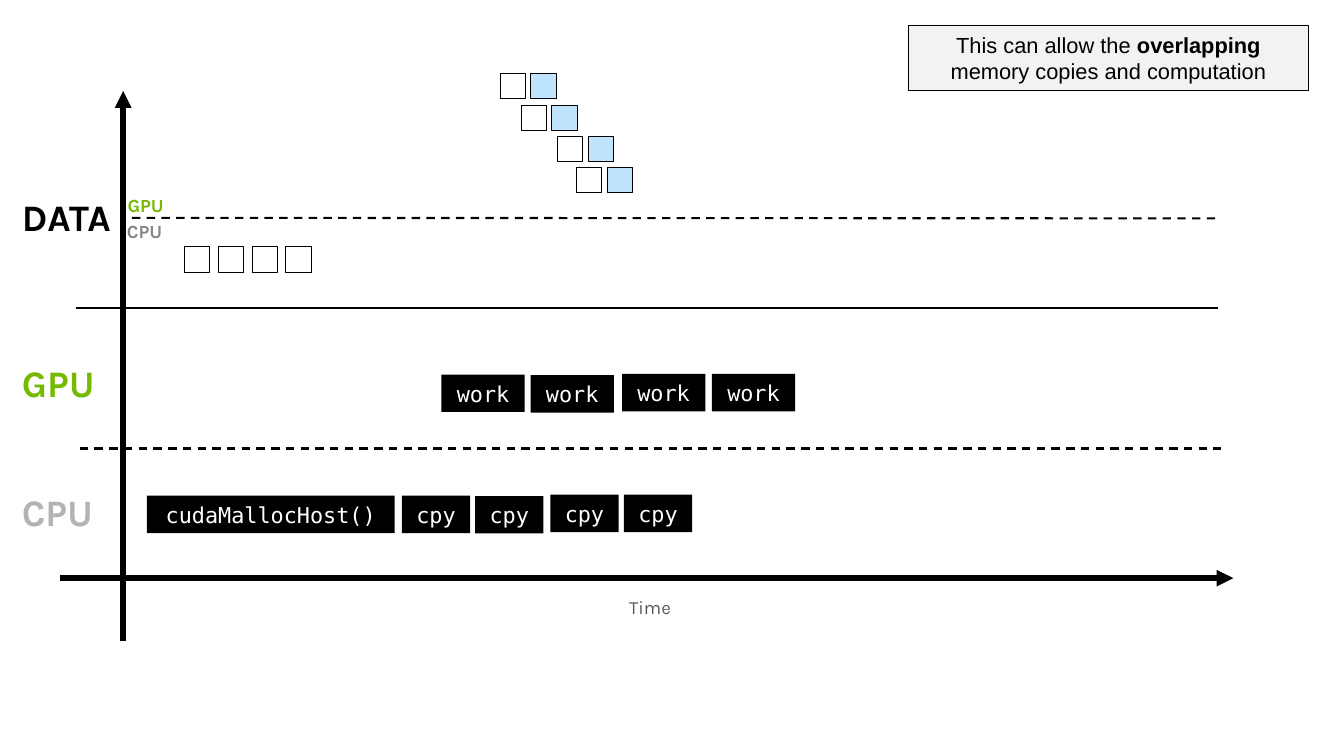
from lxml import etree
from pptx import Presentation
from pptx.dml.color import RGBColor
from pptx.enum.dml import MSO_LINE
from pptx.enum.shapes import MSO_CONNECTOR, MSO_SHAPE
from pptx.enum.text import MSO_ANCHOR, PP_ALIGN
from pptx.oxml.ns import qn
from pptx.util import Pt

COLORS = {"black": "000000", "white": "FFFFFF", "green": "76B900", "light gray": "B3B3B3",
          "mid gray": "868686", "time gray": "595959", "blue": "C0E3FE", "callout": "F2F2F2"}


def add_box(shapes, left, top, width, height, fill=None, outlined=False):
    shape = shapes.add_shape(MSO_SHAPE.RECTANGLE, Pt(left), Pt(top), Pt(width), Pt(height))
    shape.shadow.inherit = False
    if fill:
        shape.fill.solid()
        shape.fill.fore_color.rgb = RGBColor.from_string(COLORS[fill])
    else:
        shape.fill.background()
    if outlined:
        shape.line.color.rgb = RGBColor.from_string(COLORS["black"])
        shape.line.width = Pt(0.75)
    else:
        shape.line.fill.background()
    return shape


def write_text(shape, runs, font, size, color, anchor, alignment=PP_ALIGN.CENTER, spacing=1.0):
    frame = shape.text_frame
    frame.word_wrap = True
    frame.vertical_anchor = anchor
    frame.margin_left = frame.margin_right = Pt(7.6)
    frame.margin_top = frame.margin_bottom = Pt(4)
    paragraph = frame.paragraphs[0]
    paragraph.alignment = alignment
    paragraph.line_spacing = spacing
    for text, bold in runs:
        run = paragraph.add_run()
        run.text = text
        run.font.name = font
        run.font.size = Pt(size)
        run.font.bold = bold
        run.font.color.rgb = RGBColor.from_string(COLORS[color])


presentation = Presentation()
presentation.slide_width = Pt(960)
presentation.slide_height = Pt(540)
slide = presentation.slides.add_slide(presentation.slide_layouts[6])

# Axes and lane dividers: start, end, width, dashed, arrow
for x1, y1, x2, y2, width, dashed, arrow in [
    (88, 458, 88, 65, 4, False, True),
    (43, 413, 881, 413, 4, False, True),
    (57, 320.4, 872, 320.4, 1.5, True, False),
    (54, 219.8, 870, 219.8, 1.5, False, False),
    (94.3, 155.6, 870, 156, 1.5, True, False),
]:
    line = slide.shapes.add_connector(MSO_CONNECTOR.STRAIGHT, Pt(x1), Pt(y1), Pt(x2), Pt(y2))
    line.line.color.rgb = RGBColor.from_string(COLORS["black"])
    line.line.width = Pt(width)
    if dashed:
        line.line.dash_style = MSO_LINE.DASH
    if arrow:
        etree.SubElement(line.line._get_or_add_ln(), qn("a:tailEnd"), type="triangle")
    etree.SubElement(line._element.spPr, qn("a:effectLst"))

# Lane and axis labels
for text, left, top, width, height, size, color, bold, alignment in [
    ("DATA", 8, 137.5, 88, 37.4, 26.7, "black", True, PP_ALIGN.LEFT),
    ("GPU", 8, 256.3, 78, 37.4, 26.7, "green", True, PP_ALIGN.LEFT),
    ("CPU", 8, 348.5, 78, 37.4, 26.7, "light gray", True, PP_ALIGN.LEFT),
    ("GPU", 83.5, 136.6, 44, 22.3, 13.3, "green", True, PP_ALIGN.LEFT),
    ("CPU", 83, 154.8, 44, 22.3, 13.3, "mid gray", True, PP_ALIGN.LEFT),
    ("Time", 440.6, 421.2, 47.5, 24.5, 13.3, "time gray", False, PP_ALIGN.CENTER),
]:
    label = slide.shapes.add_textbox(Pt(left), Pt(top), Pt(width), Pt(height))
    write_text(label, [(text, bold)], "Karla", size, color, MSO_ANCHOR.BOTTOM, alignment, 0.9)

# Data blocks held by the CPU
SQUARE = 18.2
cpu_data = slide.shapes.add_group_shape()
for index in range(4):
    add_box(cpu_data.shapes, 131.7 + 24.2 * index, 176.2, SQUARE, SQUARE, outlined=True)

# Data blocks on the GPU: each input beside its result
gpu_data = slide.shapes.add_group_shape()
for left, top in [(357.3, 52.4), (372.3, 75.3), (398.1, 97.5), (411.7, 119.5)]:
    add_box(gpu_data.shapes, left, top, SQUARE, SQUARE, outlined=True)
    add_box(gpu_data.shapes, left + 22, top, SQUARE, SQUARE, "blue", outlined=True)

# Calls on the CPU and work on the GPU
gpu_work = slide.shapes.add_group_shape()
for shapes, text, width, places in [
    (slide.shapes, "cudaMallocHost()", 177, [(105, 354)]),
    (slide.shapes, "cpy", 48.8, [(287.1, 354), (339.4, 354.3), (393.1, 353.3), (445.7, 353.3)]),
    (gpu_work.shapes, "work", 59.5, [(315.3, 267.5), (379, 267.9), (444.3, 267), (508.5, 267)]),
]:
    for left, top in places:
        block = add_box(shapes, left, top, width, 26.8, "black")
        write_text(block, [(text, False)], "DejaVu Sans Mono", 15.6, "white", MSO_ANCHOR.MIDDLE)

# Callout
callout = add_box(slide.shapes, 649, 18.4, 285.5, 46, "callout", outlined=True)
write_text(callout, [("This can allow the ", False), ("overlapping", True),
                     (" memory copies and computation", False)],
           "Arial", 15.6, "black", MSO_ANCHOR.TOP)

presentation.save("out.pptx")
